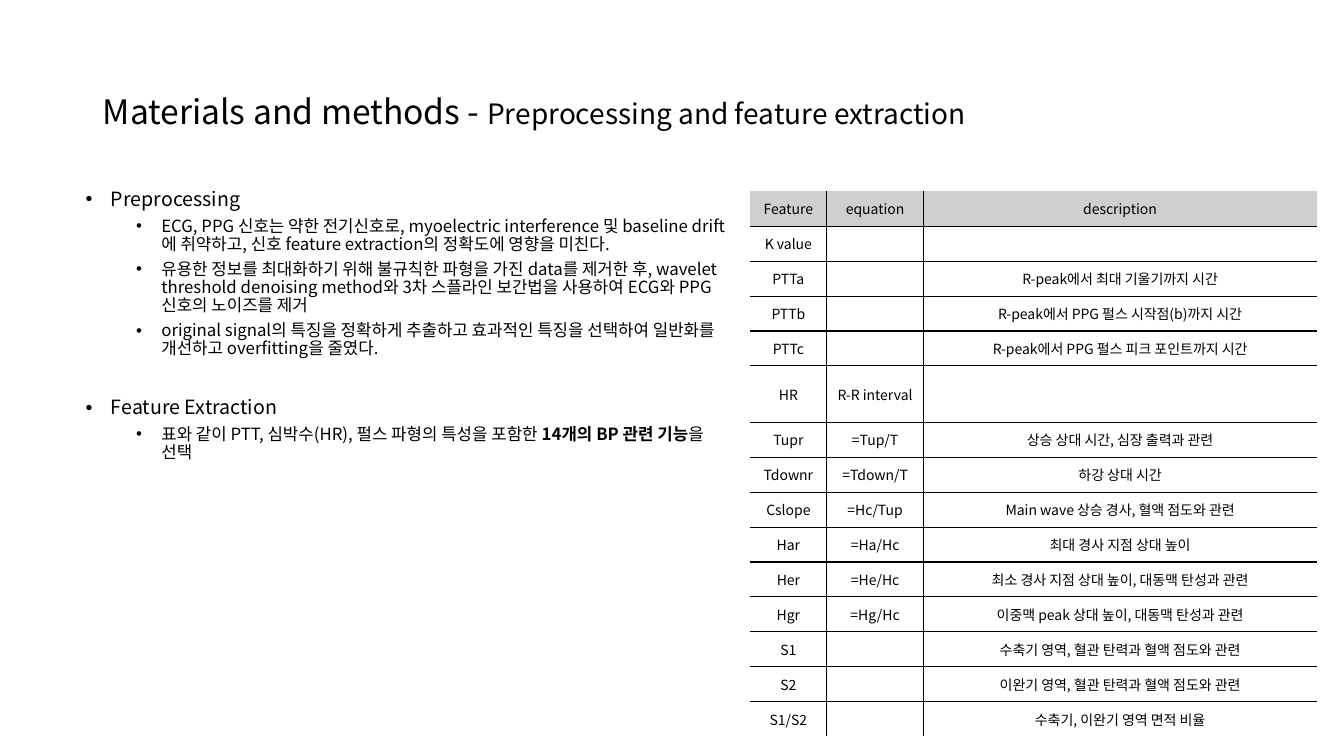
from lxml import etree
from pptx import Presentation
from pptx.dml.color import RGBColor
from pptx.enum.text import MSO_ANCHOR, MSO_AUTO_SIZE, PP_ALIGN
from pptx.oxml.ns import qn
from pptx.util import Inches, Pt

LEFT, CENTER = PP_ALIGN.LEFT, PP_ALIGN.CENTER
TOP, MIDDLE = MSO_ANCHOR.TOP, MSO_ANCHOR.MIDDLE
NO_FIT = MSO_AUTO_SIZE.NONE

WIDTH, HEIGHT = Inches(13.33), Inches(7.5)
FONT = "Noto Sans CJK KR"
BLACK, GREY = "000000", "D0CECE"

TITLE_BOX = (6.9, 5.33, 86.27, 19.33)
BODY_BOX = (5.63, 24.4, 49.59, 72.8)
TABLE_BOX = (55.81, 25.33, 42.16, 72.13)
COLUMN_SHARES = (0.76, 0.96, 3.9)
TALL_FEATURE, TALL_SHARE = "HR", 1.62

TITLE = [("Materials and methods - ", 24, False),
         ("Preprocessing and feature extraction", 20, False)]

BULLETS = [
    (0, 10, [("Preprocessing", 14, False)]),
    (1, 5, [("ECG, PPG 신호는 약한 전기신호로, myoelectric interference 및 baseline "
             "drift에 취약하고, 신호 feature extraction의 정확도에 영향을 미친다.", 12, False)]),
    (1, 5, [("유용한 정보를 최대화하기 위해 불규칙한 파형을 가진 data를 제거한 후, "
             "wavelet threshold denoising method와 3차 스플라인 보간법을 사용하여 "
             "ECG와 PPG 신호의 노이즈를 제거", 12, False)]),
    (1, 5, [("original signal의 특징을 정확하게 추출하고 효과적인 특징을 선택하여 "
             "일반화를 개선하고 overfitting을 줄였다.", 12, False)]),
    (0, 28, [("Feature Extraction", 14, False)]),
    (1, 5, [("표와 같이 PTT, 심박수(HR), 펄스 파형의 특성을 포함한 ", 12, False),
            ("14개의 BP 관련 기능", 12, True), ("을 선택", 12, False)]),
]

FEATURES = [
    ("Feature", "equation", "description"),
    ("K value", "", ""),
    ("PTTa", "", "R-peak에서 최대 기울기까지 시간"),
    ("PTTb", "", "R-peak에서 PPG 펄스 시작점(b)까지 시간"),
    ("PTTc", "", "R-peak에서 PPG 펄스 피크 포인트까지 시간"),
    ("HR", "R-R interval", ""),
    ("Tupr", "=Tup/T", "상승 상대 시간, 심장 출력과 관련"),
    ("Tdownr", "=Tdown/T", "하강 상대 시간"),
    ("Cslope", "=Hc/Tup", "Main wave 상승 경사, 혈액 점도와 관련"),
    ("Har", "=Ha/Hc", "최대 경사 지점 상대 높이"),
    ("Her", "=He/Hc", "최소 경사 지점 상대 높이, 대동맥 탄성과 관련"),
    ("Hgr", "=Hg/Hc", "이중맥 peak 상대 높이, 대동맥 탄성과 관련"),
    ("S1", "", "수축기 영역, 혈관 탄력과 혈액 점도와 관련"),
    ("S2", "", "이완기 영역, 혈관 탄력과 혈액 점도와 관련"),
    ("S1/S2", "", "수축기, 이완기 영역 면적 비율"),
]


def color(hex_text):
    """Turn a hex string into a colour."""
    return RGBColor.from_string(hex_text)


def box(left, top, width, height):
    """Turn percentages of the slide into lengths."""
    return [int(share * side / 100) for share, side in
            zip((left, top, width, height), (WIDTH, HEIGHT) * 2)]


def style_run(r, size, bold=False):
    """Set the font of a run for Latin and Korean text."""
    r.font.name, r.font.size, r.font.bold = FONT, Pt(size), bold
    r.font.color.rgb = color(BLACK)
    ea = etree.Element(qn("a:ea"), typeface=FONT)
    r.font._element.find(qn("a:latin")).addnext(ea)


def write_runs(p, parts):
    """Fill a paragraph with runs of text, size and weight."""
    p.alignment, p.line_spacing = LEFT, 0.9
    for text, size, bold in parts:
        r = p.add_run()
        r.text = text
        style_run(r, size, bold)


def set_bullet(p, level):
    """Give a paragraph a round bullet and a hanging indent."""
    p.level = level
    pPr = p._p.get_or_add_pPr()
    pPr.set("marL", str(Inches(0.25 + 0.5 * level)))
    pPr.set("indent", str(Inches(-0.25)))
    etree.SubElement(pPr, qn("a:buFont"), typeface="Arial")
    etree.SubElement(pPr, qn("a:buChar"), char="•")


def place(sp, bounds, anchor):
    """Move a placeholder and return its text frame."""
    sp.left, sp.top, sp.width, sp.height = box(*bounds)
    tf = sp.text_frame
    tf.word_wrap, tf.auto_size, tf.vertical_anchor = True, NO_FIT, anchor
    return tf


def add_title(s):
    """Fill the title placeholder."""
    tf = place(s.shapes.title, TITLE_BOX, MIDDLE)
    write_runs(tf.paragraphs[0], TITLE)


def add_bullets(s):
    """Fill the body placeholder with the bullet list."""
    tf = place(s.placeholders[1], BODY_BOX, TOP)
    for i, (level, gap, parts) in enumerate(BULLETS):
        p = tf.add_paragraph() if i else tf.paragraphs[0]
        write_runs(p, parts)
        p.space_before, p.space_after = Pt(gap), Pt(0)
        set_bullet(p, level)


def set_borders(cell, visible):
    """Draw the listed sides of a cell and clear the others."""
    tcPr = cell._tc.get_or_add_tcPr()
    for side in "LRTB":
        ln = etree.SubElement(tcPr, qn(f"a:ln{side}"), w=str(Pt(1)))
        if side in visible:
            fill = etree.SubElement(ln, qn("a:solidFill"))
            etree.SubElement(fill, qn("a:srgbClr"), val=BLACK)
        else:
            etree.SubElement(ln, qn("a:noFill"))


def fill_cell(cell, text, is_header):
    """Write a centred cell and set its fill."""
    cell.vertical_anchor = MIDDLE
    p = cell.text_frame.paragraphs[0]
    p.text, p.alignment = text, CENTER
    for r in p.runs:
        style_run(r, 10)
    if not text:
        etree.SubElement(p._p, qn("a:endParaRPr"), sz="1000")
    if is_header:
        cell.fill.solid()
        cell.fill.fore_color.rgb = color(GREY)
    else:
        cell.fill.background()


def add_feature_table(s):
    """Add the feature table with inner grid lines only."""
    left, top, width, height = box(*TABLE_BOX)
    last_row, last_col = len(FEATURES) - 1, len(COLUMN_SHARES) - 1
    table = s.shapes.add_table(last_row + 1, last_col + 1, left, top, width, height).table
    table.first_row = table.horz_banding = False
    for column, share in zip(table.columns, COLUMN_SHARES):
        column.width = int(width * share / sum(COLUMN_SHARES))
    unit = height / (last_row + TALL_SHARE)
    for i, texts in enumerate(FEATURES):
        table.rows[i].height = int(unit * (TALL_SHARE if texts[0] == TALL_FEATURE else 1))
        for j, text in enumerate(texts):
            cell = table.cell(i, j)
            inner = {"L": j > 0, "R": j < last_col, "T": i > 0, "B": i < last_row}
            set_borders(cell, [side for side in inner if inner[side]])
            fill_cell(cell, text, i == 0)


def main():
    """Build the slide and save it."""
    prs = Presentation()
    prs.slide_width, prs.slide_height = WIDTH, HEIGHT
    s = prs.slides.add_slide(prs.slide_layouts[1])
    add_title(s)
    add_bullets(s)
    add_feature_table(s)
    prs.save("out.pptx")


if __name__ == "__main__":
    main()
